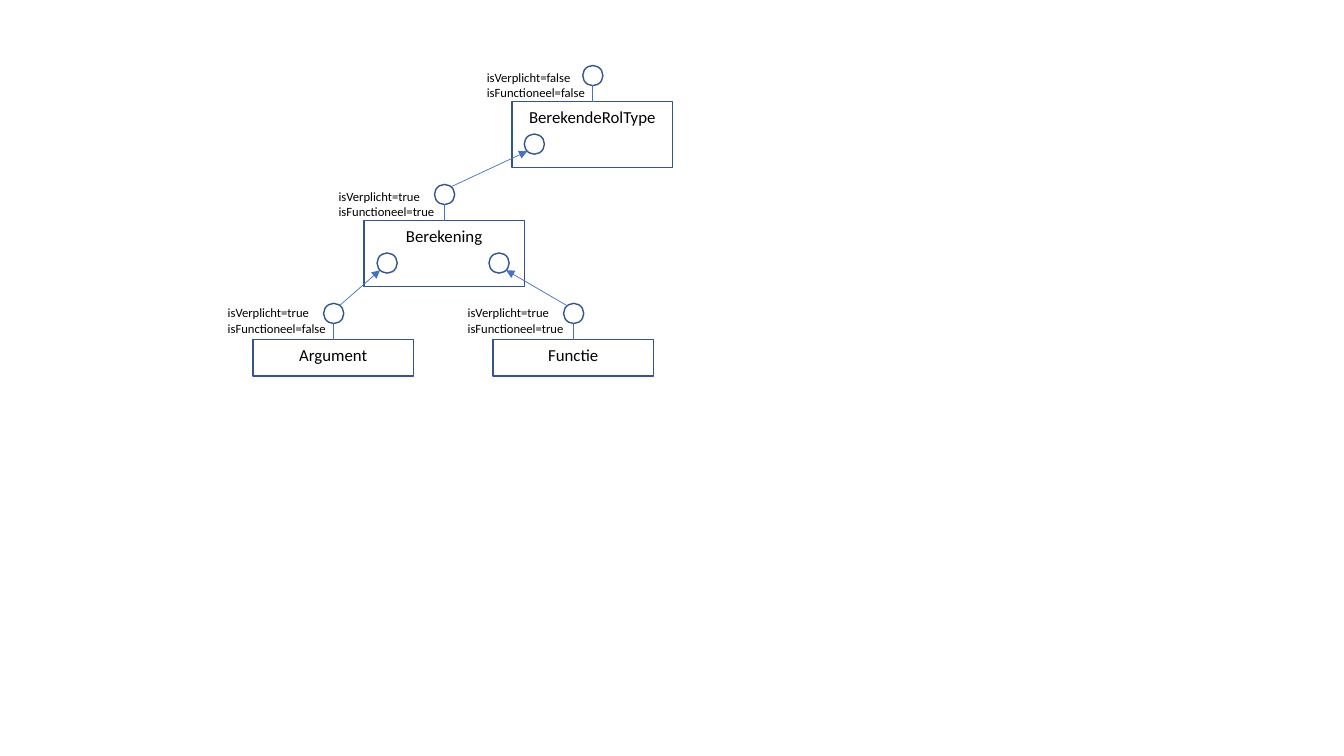
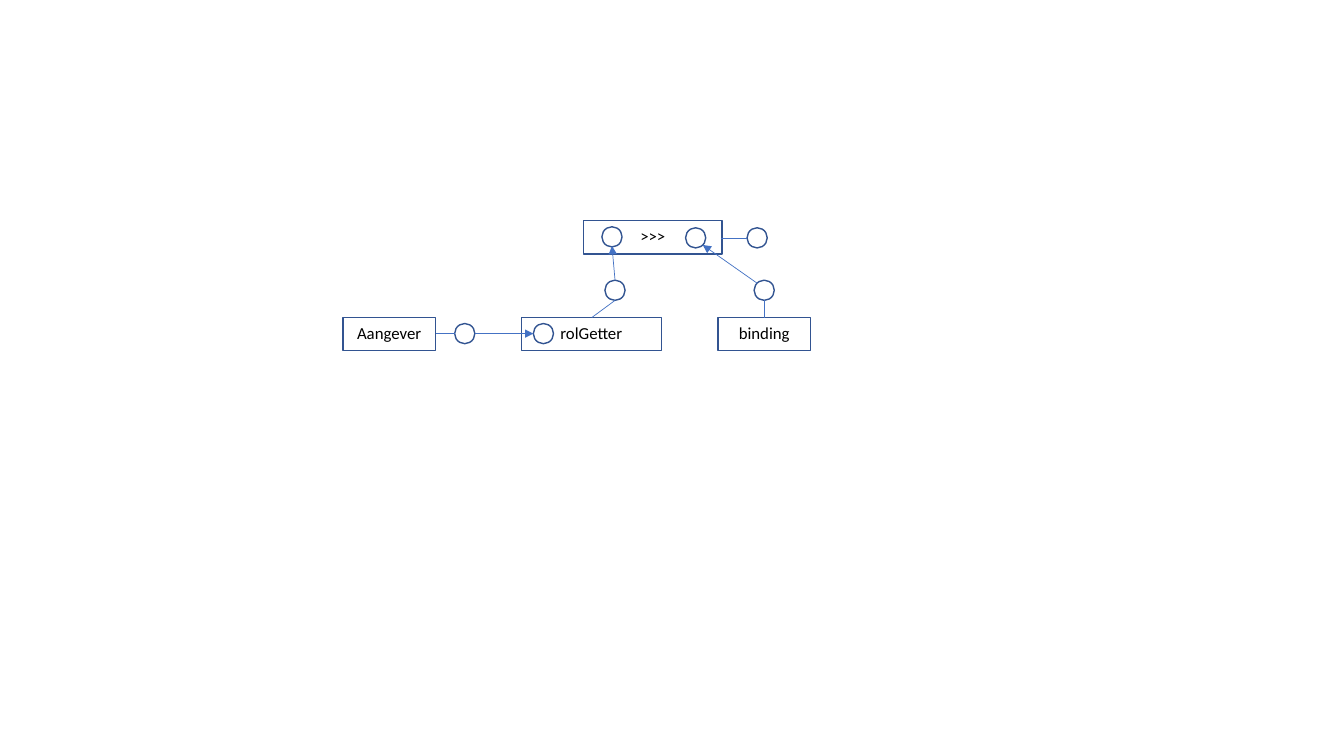
"""Build two slides of role diagrams: boxes, sockets and the arrows between them."""
from pptx import Presentation
from pptx.dml.color import RGBColor
from pptx.enum.shapes import MSO_CONNECTOR as Link, MSO_SHAPE as Kind
from pptx.enum.text import MSO_ANCHOR as Anchor, MSO_AUTO_SIZE as Fit, PP_ALIGN as Align
from pptx.oxml.ns import qn
from pptx.util import Inches, Pt
from lxml.etree import SubElement

EDGE = RGBColor(0x32, 0x54, 0x91)
WIRE = RGBColor(0x44, 0x72, 0xC4)
INK = RGBColor(0, 0, 0)
FONT = "Calibri"
RING = 0.2


def draw(slide, kind, x, y, w, h, text=""):
    shape = slide.shapes.add_shape(kind, Inches(x), Inches(y), Inches(w), Inches(h))
    shape.shadow.inherit = False
    shape.fill.background()
    shape.line.color.rgb = EDGE
    shape.line.width = Pt(1)
    if text:
        frame = shape.text_frame
        frame.text = text
        frame.vertical_anchor = Anchor.TOP
        para = frame.paragraphs[0]
        para.alignment = Align.CENTER
        font = para.runs[0].font
        font.name, font.size, font.color.rgb = FONT, Pt(12), INK


def wire(slide, start, end, arrow=False):
    ends = [Inches(n) for n in (*start, *end)]
    line = slide.shapes.add_connector(Link.STRAIGHT, *ends)
    line.line.color.rgb = WIRE
    line.line.width = Pt(0.5)
    props = line._element.spPr
    SubElement(props, qn("a:effectLst"))
    if arrow:
        SubElement(props.find(qn("a:ln")), qn("a:tailEnd"), type="triangle")


deck = Presentation()
deck.slide_width, deck.slide_height = Inches(13.33), Inches(7.5)
blank = deck.slide_layouts[6]
tree = deck.slides.add_slide(blank)
chain = deck.slides.add_slide(blank)

types = [
    ("BerekendeRolType", 5.08, 1.01, 0.65, 0.64, "false", "false"),
    ("Berekening", 3.61, 2.19, 0.65, 1.82, "true", "true"),
    ("Argument", 2.51, 3.37, 0.36, 2.98, "true", "false"),
    ("Functie", 4.89, 3.37, 0.36, 2.98, "true", "true"),
]
for name, x, y, high, top, must, func in types:
    draw(tree, Kind.RECTANGLE, x, y, 1.59, high, name)
    draw(tree, Kind.OVAL, x + 0.7, y - 0.36, RING, RING)
    wire(tree, (x + 0.8, y), (x + 0.8, y - 0.17))
    wide = 1.19 if func == "false" else 1.16
    label = tree.shapes.add_textbox(Inches(x - 0.35), Inches(top), Inches(wide), Inches(0.4))
    frame = label.text_frame
    frame.word_wrap = False
    frame.auto_size = Fit.SHAPE_TO_FIT_TEXT
    frame.text = f"isVerplicht={must}\nisFunctioneel={func}"
    for para in frame.paragraphs:
        font = para.runs[0].font
        font.name, font.size, font.color.rgb = FONT, Pt(9), INK

for x, y in [(5.2, 1.33), (3.74, 2.51), (4.85, 2.51)]:
    draw(tree, Kind.OVAL, x, y, RING, RING)
for start, end in [
    ((4.48, 1.85), (5.23, 1.5)),
    ((3.37, 3.03), (3.77, 2.68)),
    ((5.62, 3.03), (5.02, 2.68)),
]:
    wire(tree, start, end, True)

for name, x, y, wide in [
    (">>>", 5.79, 2.19, 1.37),
    ("rolGetter", 5.17, 3.15, 1.39),
    ("binding", 7.12, 3.15, 0.92),
    ("Aangever", 3.4, 3.15, 0.92),
]:
    draw(chain, Kind.RECTANGLE, x, y, wide, 0.33, name)
for x, y in [
    (5.97, 2.25), (6.8, 2.26), (7.41, 2.26),
    (6, 2.78), (7.48, 2.78), (4.51, 3.21), (5.29, 3.21),
]:
    draw(chain, Kind.OVAL, x, y, RING, RING)
for start, end, arrow in [
    ((7.15, 2.36), (7.41, 2.36), False),
    ((5.87, 3.15), (6.1, 2.98), False),
    ((7.58, 3.15), (7.58, 2.98), False),
    ((4.51, 3.31), (4.32, 3.31), False),
    ((6.1, 2.78), (6.07, 2.44), True),
    ((7.51, 2.81), (6.97, 2.43), True),
    ((4.71, 3.31), (5.29, 3.31), True),
]:
    wire(chain, start, end, arrow)

deck.save("out.pptx")
